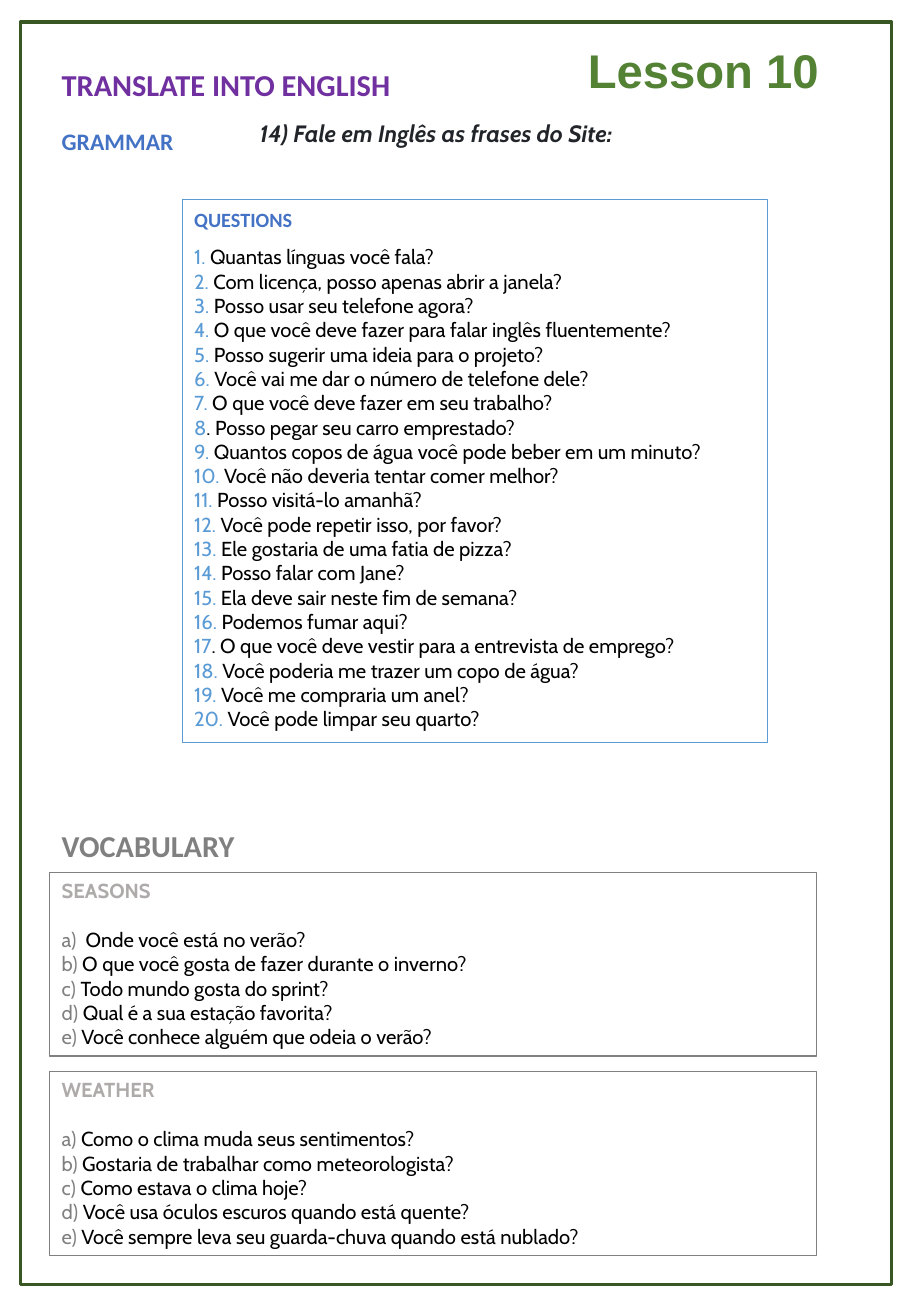
from dataclasses import dataclass

from pptx import Presentation
from pptx.dml.color import RGBColor
from pptx.enum import shapes, text
from pptx.util import Inches, Pt

PURPLE = RGBColor(0x70, 0x30, 0xA0)
BLUE = RGBColor(0x44, 0x72, 0xC4)
LIGHT_BLUE = RGBColor(0x5B, 0x9B, 0xD5)
GREEN = RGBColor(0x54, 0x82, 0x35)
DARK_GREEN = RGBColor(0x38, 0x57, 0x23)
GRAY = RGBColor(0x80, 0x80, 0x80)
LIGHT_GRAY = RGBColor(0xAE, 0xAA, 0xAA)
INK = RGBColor(0x21, 0x25, 0x29)
BLACK = RGBColor(0, 0, 0)


@dataclass
class Box:
    left: float
    top: float
    width: float
    height: float


@dataclass
class Style:
    font: str
    size: float
    color: RGBColor
    bold: bool = True
    italic: bool = False
    line_spacing: float = 1.0
    space_after: float = 0


@dataclass
class Label:
    box: Box
    text: str
    style: Style


@dataclass
class Exercise:
    box: Box
    heading: str
    heading_style: Style
    line_color: RGBColor
    items: list[tuple[str, str]]


QUESTIONS = [
    "Quantas línguas você fala?",
    "Com licença, posso apenas abrir a janela?",
    "Posso usar seu telefone agora?",
    "O que você deve fazer para falar inglês fluentemente?",
    "Posso sugerir uma ideia para o projeto?",
    "Você vai me dar o número de telefone dele?",
    "O que você deve fazer em seu trabalho?",
    "Posso pegar seu carro emprestado?",
    "Quantos copos de água você pode beber em um minuto?",
    "Você não deveria tentar comer melhor?",
    "Posso visitá-lo amanhã?",
    "Você pode repetir isso, por favor?",
    "Ele gostaria de uma fatia de pizza?",
    "Posso falar com Jane?",
    "Ela deve sair neste fim de semana?",
    "Podemos fumar aqui?",
    "O que você deve vestir para a entrevista de emprego?",
    "Você poderia me trazer um copo de água?",
    "Você me compraria um anel?",
    "Você pode limpar seu quarto?",
]
SEASONS = [
    "Onde você está no verão?",
    "O que você gosta de fazer durante o inverno?",
    "Todo mundo gosta do sprint?",
    "Qual é a sua estação favorita?",
    "Você conhece alguém que odeia o verão?",
]
WEATHER = [
    "Como o clima muda seus sentimentos?",
    "Gostaria de trabalhar como meteorologista?",
    "Como estava o clima hoje?",
    "Você usa óculos escuros quando está quente?",
    "Você sempre leva seu guarda-chuva quando está nublado?",
]
BLACK_DOTS = (8, 17)


def numbered(questions: list[str]) -> list[tuple[str, str]]:
    return [(f"{n}", f". {q}") if n in BLACK_DOTS else (f"{n}. ", q)
            for n, q in enumerate(questions, 1)]


def lettered(questions: list[str], first_gap: str = " ") -> list[tuple[str, str]]:
    gaps = [first_gap] + [" "] * (len(questions) - 1)
    return [(f"{letter}){gap}", q) for letter, gap, q in zip("abcde", gaps, questions)]


def heading(font: str, size: float, color: RGBColor) -> Style:
    return Style(font, size, color, line_spacing=1.07, space_after=8)


TITLE = Label(Box(4.74, 0.29, 2.13, 0.57), "Lesson 10", Style("Arial", 28, GREEN))
LABELS = [
    Label(Box(0.41, 0.47, 3.1, 0.41), "TRANSLATE INTO ENGLISH", heading("Calibri", 18, PURPLE)),
    Label(Box(0.41, 0.98, 6.3, 0.34), "GRAMMAR", heading("Calibri", 14, BLUE)),
    Label(Box(0.41, 6.74, 1.63, 0.41), "VOCABULARY", heading("Calibri", 18, GRAY)),
    Label(Box(2.04, 0.93, 6.3, 0.34), "14) Fale em Inglês as frases do Site:",
          Style("Cabin", 14, INK, italic=True)),
]
TOPIC = Style("Cabin", 12, LIGHT_GRAY, space_after=14.5)
EXERCISES = [
    Exercise(Box(1.5, 1.64, 4.82, 4.47), "QUESTIONS", heading("Calibri", 12, BLUE),
             LIGHT_BLUE, numbered(QUESTIONS)),
    Exercise(Box(0.41, 7.18, 6.31, 1.51), "SEASONS", TOPIC, GRAY, lettered(SEASONS, "  ")),
    Exercise(Box(0.41, 8.82, 6.31, 1.51), "WEATHER", TOPIC, GRAY, lettered(WEATHER)),
]


def place(box: Box) -> tuple:
    return Inches(box.left), Inches(box.top), Inches(box.width), Inches(box.height)


def format_font(font, style: Style) -> None:
    font.name, font.size = style.font, Pt(style.size)
    font.bold, font.italic = style.bold, style.italic
    font.color.rgb = style.color


def write(p, words: str, style: Style) -> None:
    p.text = words
    p.alignment = text.PP_ALIGN.LEFT
    p.line_spacing = style.line_spacing
    p.space_before, p.space_after = Pt(0), Pt(style.space_after)
    format_font(p.runs[0].font, style)


def fill_label(sp, label: Label, wrap: bool = True) -> None:
    sp.left, sp.top, sp.width, sp.height = place(label.box)
    tf = sp.text_frame
    tf.word_wrap = wrap
    tf.auto_size = text.MSO_AUTO_SIZE.SHAPE_TO_FIT_TEXT
    tf.vertical_anchor = text.MSO_ANCHOR.TOP
    write(tf.paragraphs[0], label.text, label.style)


def add_frame(s, box: Box, color: RGBColor, width: float):
    sp = s.shapes.add_shape(shapes.MSO_SHAPE.RECTANGLE, *place(box))
    sp.shadow.inherit = False
    sp.fill.background()
    sp.line.color.rgb = color
    sp.line.width = Pt(width)
    return sp


def add_exercise(s, exercise: Exercise) -> None:
    tf = add_frame(s, exercise.box, exercise.line_color, 0.75).text_frame
    tf.word_wrap = True
    tf.auto_size = text.MSO_AUTO_SIZE.SHAPE_TO_FIT_TEXT
    tf.vertical_anchor = text.MSO_ANCHOR.TOP
    write(tf.paragraphs[0], exercise.heading, exercise.heading_style)
    for marker, question in exercise.items:
        p = tf.add_paragraph()
        write(p, marker, Style("Cabin", 12, exercise.line_color, bold=False))
        r = p.add_run()
        r.text = question
        format_font(r.font, Style("Cabin", 12, BLACK, bold=False))


def main() -> None:
    prs = Presentation()
    prs.slide_width, prs.slide_height = Inches(7.5), Inches(10.83)
    s = prs.slides.add_slide(prs.slide_layouts[5])
    fill_label(s.shapes.title, TITLE, wrap=False)
    add_frame(s, Box(0.17, 0.18, 7.17, 10.39), DARK_GREEN, 2)
    for label in LABELS:
        fill_label(s.shapes.add_textbox(*place(label.box)), label)
    for exercise in EXERCISES:
        add_exercise(s, exercise)
    prs.save("out.pptx")


if __name__ == "__main__":
    main()
